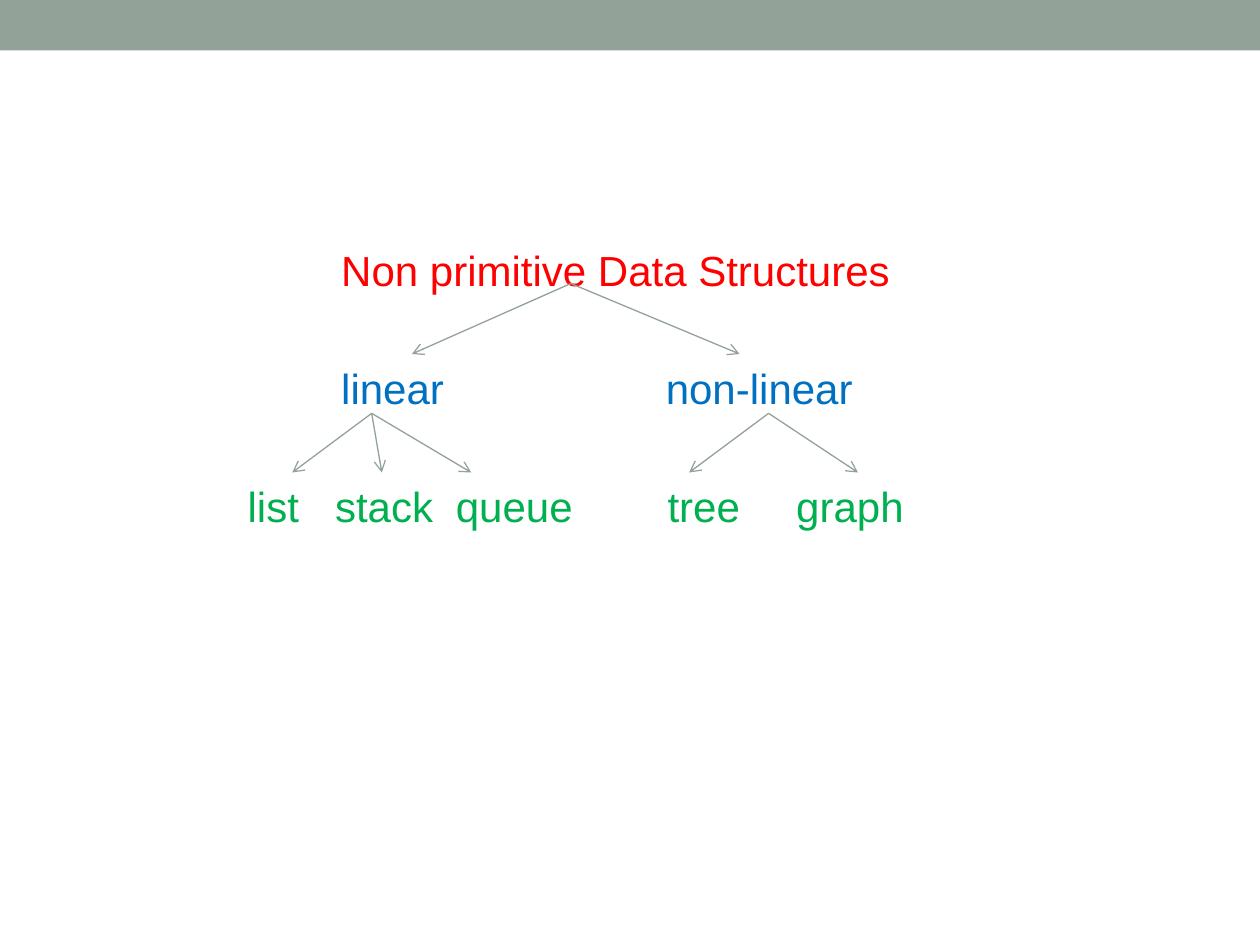
import pptx
import pptx.util
import pptx.dml.color
import pptx.enum.shapes
import pptx.enum.text
import pptx.oxml
import pptx.oxml.ns
from pptx.util import Pt

# Content: rows of (text, left, width), then arrows by level
ROWS = [
    ("root", [("Non primitive Data Structures", 195, 325)]),
    ("branch", [("linear", 195, 66), ("non-linear", 380.5, 116)]),
    ("leaf", [("list", 141.5, 40), ("stack", 191.5, 64), ("queue", 260.5, 76),
              ("tree", 381.5, 50), ("graph", 455, 70)]),
]
# (start x, start y, end y, end x values)
FANS = [
    (326.2, 162, 202.3, [235.4, 422.6]),
    (212.4, 236.2, 270, [167, 218.2, 269.3]),
    (439.2, 236.2, 270, [393.8, 490.3]),
]
THEME = {
    "accent": "93A299", "root": "FF0000", "branch": "0070C0", "leaf": "00B050",
    "font": "Arial", "size": 24, "line": 0.75,
}
PAGE_WIDTH, PAGE_HEIGHT, BAND_HEIGHT = 720, 540, 28.8
FIRST_ROW, ROW_STEP, ROW_HEIGHT = 140, 67.2, 28


def color(name):
    return pptx.dml.color.RGBColor.from_string(THEME[name])


def apply(target, values):
    for name, value in values.items():
        setattr(target, name, value)


def add_label(page, text, left, top, width, level):
    box = page.shapes.add_textbox(Pt(left), Pt(top), Pt(width), Pt(ROW_HEIGHT))
    apply(box.text_frame, {
        "margin_left": 0, "margin_right": 0, "margin_top": 0, "margin_bottom": 0,
        "word_wrap": True, "vertical_anchor": pptx.enum.text.MSO_ANCHOR.TOP,
    })
    span = box.text_frame.paragraphs[0].add_run()
    span.text = text
    apply(span.font, {"name": THEME["font"], "size": Pt(THEME["size"])})
    span.font.color.rgb = color(level)


def add_arrow(page, start_x, start_y, end_x, end_y):
    arrow = page.shapes.add_connector(
        pptx.enum.shapes.MSO_CONNECTOR.STRAIGHT,
        Pt(start_x), Pt(start_y), Pt(end_x), Pt(end_y))
    arrow.line.width = Pt(THEME["line"])
    arrow.line.color.rgb = color("accent")
    namespace = pptx.oxml.ns.nsdecls("a")
    arrow.line._get_or_add_ln().append(
        pptx.oxml.parse_xml(f'<a:tailEnd {namespace} type="arrow"/>'))
    arrow._element.spPr.append(pptx.oxml.parse_xml(f"<a:effectLst {namespace}/>"))


deck = pptx.Presentation()
apply(deck, {"slide_width": Pt(PAGE_WIDTH), "slide_height": Pt(PAGE_HEIGHT)})
page = deck.slides.add_slide(deck.slide_layouts[6])

# Top band
band = page.shapes.add_shape(pptx.enum.shapes.MSO_SHAPE.RECTANGLE,
                             0, 0, Pt(PAGE_WIDTH), Pt(BAND_HEIGHT))
band.shadow.inherit = False
band.fill.solid()
band.fill.fore_color.rgb = color("accent")
band.line.fill.background()

# Tree labels
for index, (level, labels) in enumerate(ROWS):
    for text, left, width in labels:
        add_label(page, text, left, FIRST_ROW + index * ROW_STEP, width, level)

# Arrows from each parent to its children
for start_x, start_y, end_y, ends in FANS:
    for end_x in ends:
        add_arrow(page, start_x, start_y, end_x, end_y)

deck.save("out.pptx")
